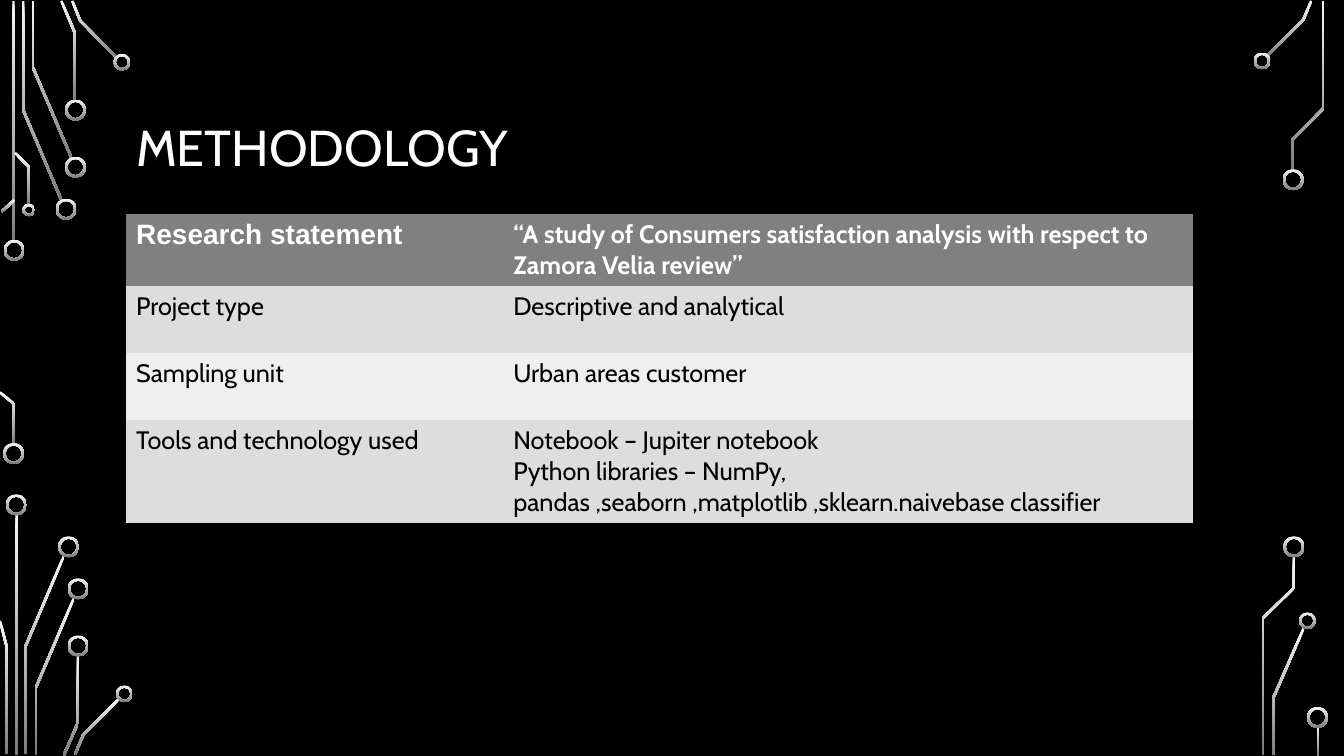
from math import hypot

from lxml.etree import SubElement
from pptx import Presentation
from pptx.dml.color import RGBColor
from pptx.enum.shapes import MSO_SHAPE
from pptx.enum.text import MSO_ANCHOR, PP_ALIGN
from pptx.util import Inches, Pt

BLACK = RGBColor(0x00, 0x00, 0x00)
WHITE = RGBColor(0xFF, 0xFF, 0xFF)
LIGHT = RGBColor(0xF8, 0xF8, 0xF8)
GREY = RGBColor(0x7C, 0x7C, 0x7C)
HEADER = RGBColor(0x80, 0x80, 0x80)
BAND_DARK = RGBColor(0xDD, 0xDD, 0xDD)
BAND_LIGHT = RGBColor(0xEF, 0xEF, 0xEF)
NO_STYLE = "{2D5ABB26-0587-4C30-8999-92F81FD0307C}"
THICK = 0.28  # wire and ring thickness, in grid units

prs = Presentation()
prs.slide_width, prs.slide_height = Inches(13.33), Inches(7.5)
UNIT = prs.slide_height / 90  # square grid: 160 columns by 90 rows
s = prs.slides.add_slide(prs.slide_layouts[5])
s.background.fill.solid()
s.background.fill.fore_color.rgb = BLACK


def paint(sp):
    """Give a circuit part the top-to-bottom grey gradient, no line, no shadow."""
    sp.shadow.inherit = False
    sp.line.fill.background()
    sp.fill.gradient()
    sp.fill.gradient_angle = 270
    for stop, color in zip(sp.fill.gradient_stops, (LIGHT, GREY)):
        stop.color.rgb = color


def ribbon(points, half):
    """Return the outline of a mitred band around a polyline."""
    normals = []
    for (x0, y0), (x1, y1) in zip(points, points[1:]):
        length = hypot(x1 - x0, y1 - y0)
        normals.append(((y0 - y1) / length, (x1 - x0) / length))
    left, right = [], []
    for (x, y), a, b in zip(points, normals[:1] + normals, normals + normals[-1:]):
        k = half / (1 + a[0] * b[0] + a[1] * b[1])
        dx, dy = k * (a[0] + b[0]), k * (a[1] + b[1])
        left.append((x + dx, y + dy))
        right.append((x - dx, y - dy))
    return left + right[::-1]


# Circuit wires as centre lines (column, row)
wires = [
    # top left
    [(1.6, 0.1), (1.6, 28.8)],
    [(2.76, 0.1), (2.76, 13.1), (7.3, 23.8)],
    [(3.9, 0.1), (3.9, 8), (8.5, 18.8)],
    [(7.3, 0.1), (8.95, 4), (8.95, 12)],
    [(8.6, 0.1), (9.54, 2.46), (13.86, 6.84)],
    [(0.2, 25.2), (1.7, 23.8)],
    [(0, 46.7), (1.68, 48.1), (1.68, 52.9)],
    [(1.8, 18.2), (3.48, 19.9), (3.48, 24.4)],
    # bottom left
    [(1.98, 61.2), (1.98, 89.9)],
    [(3.06, 89.8), (3.06, 76.9), (7.6, 66.2)],
    [(0.78, 89.8), (0.78, 76.9), (0, 73.9)],
    [(4.26, 89.9), (4.26, 81.9), (8.8, 71.2)],
    [(7.6, 89.9), (9.3, 86), (9.3, 78)],
    [(8.94, 89.8), (9.9, 87.5), (14.16, 83.2)],
    # top right
    [(156.06, 0.1), (155.1, 2.4), (150.84, 6.66)],
    [(157.5, 0.1), (157.5, 12.9), (153.84, 16.6), (153.84, 20.3)],
    # bottom right
    [(151.5, 89.9), (151.5, 83.2), (155.16, 74.8)],
    [(150.3, 89.9), (150.3, 73.6), (154, 70), (154, 66.2)],
    [(156.9, 86.5), (156.9, 89.9)],
]
for wire in wires:
    outline = [(x * UNIT, y * UNIT) for x, y in ribbon(wire, THICK / 2)]
    builder = s.shapes.build_freeform(*outline[0])
    builder.add_line_segments(outline[1:], close=True)
    paint(builder.convert_to_shape())

# Ring centres (column, row) by diameter
rings = {
    2.5: [(1.68, 29.8), (1.62, 54), (7.86, 24.9), (8.98, 19.9), (8.98, 13.1),
          (1.94, 60.1), (8.16, 65.1), (9.3, 70.1), (9.3, 76.9),
          (153.9, 21.4), (154, 65.1), (156.8, 85.4)],
    2: [(14.5, 7.4), (14.8, 82.6), (150.2, 7.25), (155.6, 73.9)],
    1.5: [(3.42, 25)],
}
for size, centres in rings.items():
    for x, y in centres:
        box = (x - size / 2, y - size / 2, size, size)
        sp = s.shapes.add_shape(MSO_SHAPE.DONUT, *(int(v * UNIT) for v in box))
        sp.adjustments[0] = THICK / size
        paint(sp)

# Title
title = s.shapes.title
for name, value in dict(left=15, top=8.2, width=130, height=19.4).items():
    setattr(title, name, int(value * UNIT))
tf = title.text_frame
tf.text = "METHODOLOGY"
tf.vertical_anchor = MSO_ANCHOR.MIDDLE
p = tf.paragraphs[0]
p.alignment, p.line_spacing = PP_ALIGN.LEFT, 0.9
for name, value in dict(name="Cabin", size=Pt(36), bold=False).items():
    setattr(p.runs[0].font, name, value)
p.runs[0].font.color.rgb = WHITE

# Methodology table; non-breaking spaces keep the list of libraries together
rows = [
    ("Research statement",
     "“A study of Consumers satisfaction analysis with respect to Zamora Velia review”"),
    ("Project type", "Descriptive and analytical"),
    ("Sampling unit", "Urban areas customer"),
    ("Tools and technology used",
     "Notebook – Jupiter notebook\nPython libraries – NumPy, "
     "pandas\u00a0,seaborn\u00a0,matplotlib\u00a0,sklearn.naivebase classifier"),
]
fills = [HEADER, BAND_DARK, BAND_LIGHT, BAND_DARK]
frame = s.shapes.add_table(len(rows), 2, *(int(v * UNIT) for v in (15, 25.5, 127, 32)))
table = frame.table
table._tbl.tblPr[0].text = NO_STYLE
for column, width in zip(table.columns, (44.9, 82.1)):
    column.width = int(width * UNIT)
for i, (texts, fill) in enumerate(zip(rows, fills)):
    for j, text in enumerate(texts):
        cell = table.cell(i, j)
        cell.text = text
        cell.fill.solid()
        cell.fill.fore_color.rgb = fill
        label = i == 0 and j == 0
        font = dict(name="Arial" if label else "Cabin",
                    size=Pt(20 if label else 18), bold=i == 0)
        for p in cell.text_frame.paragraphs:
            for r in p.runs:
                for name, value in font.items():
                    setattr(r.font, name, value)
                r.font.color.rgb = BLACK if i else WHITE

prs.save("out.pptx")
